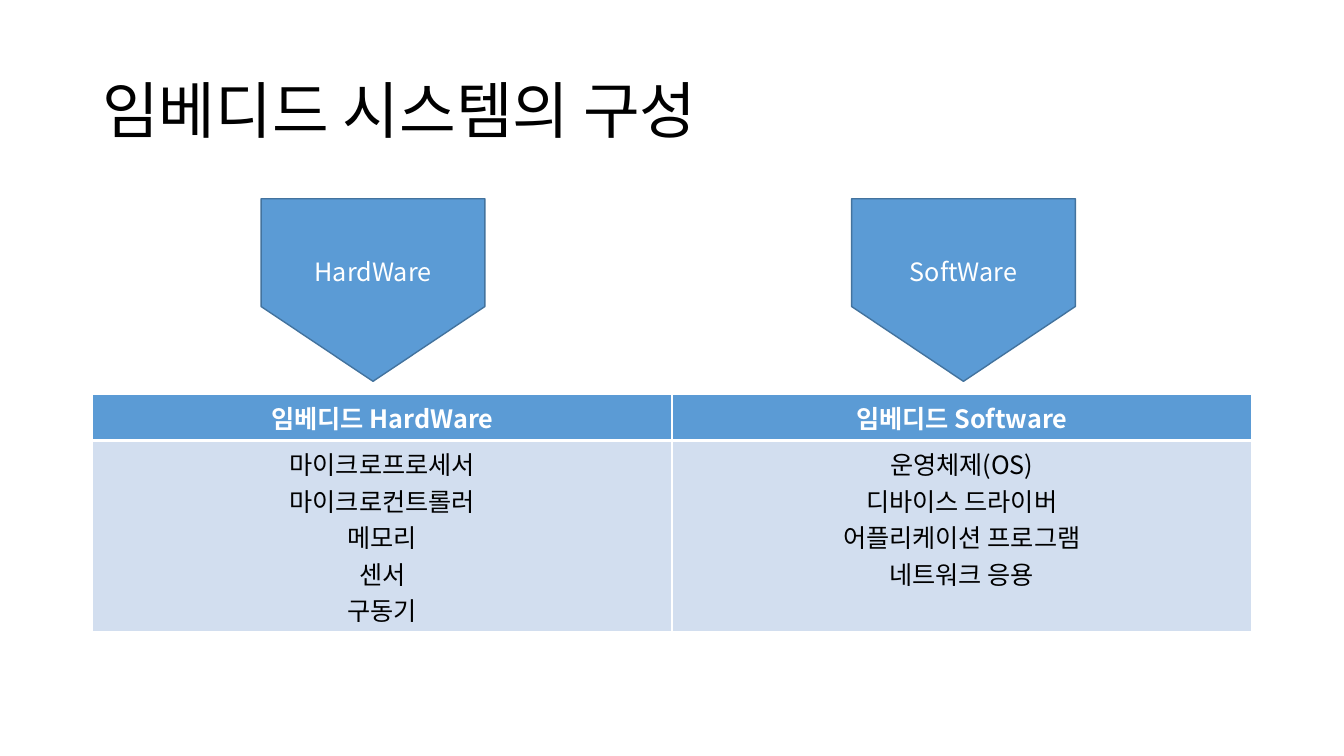
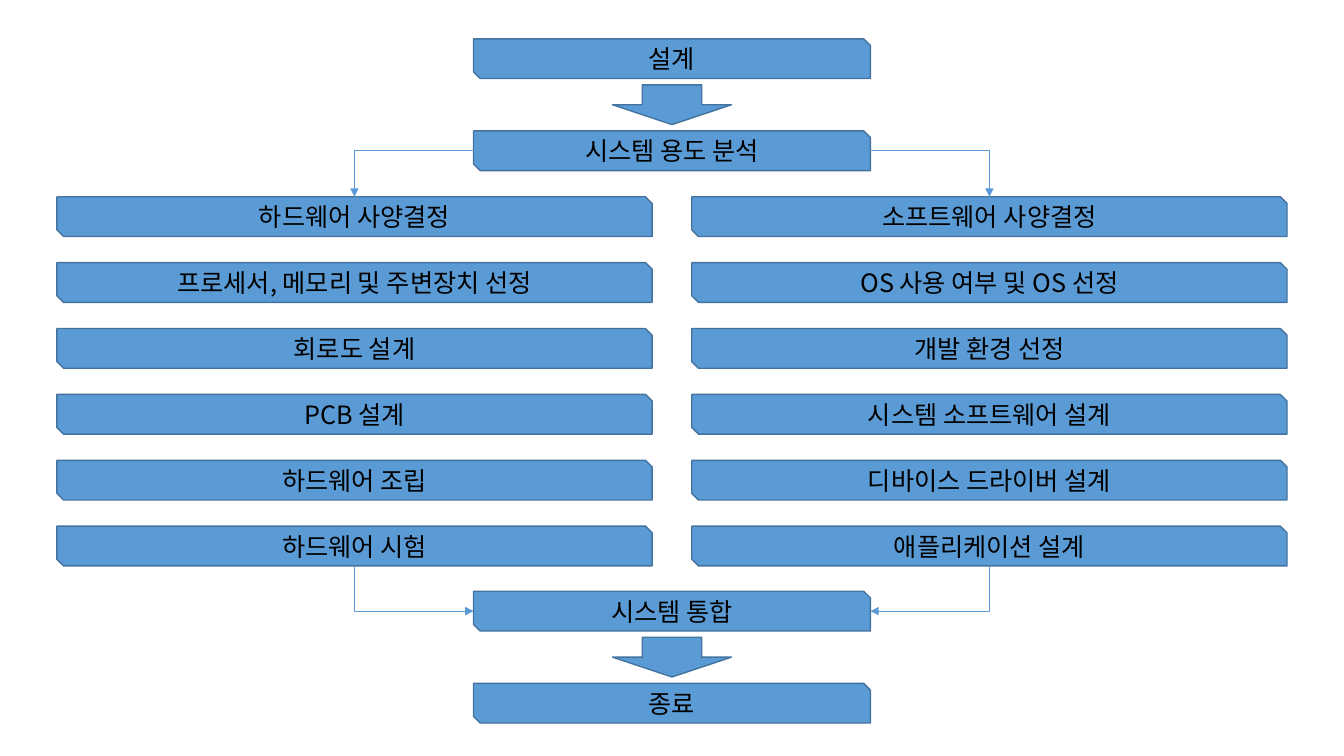
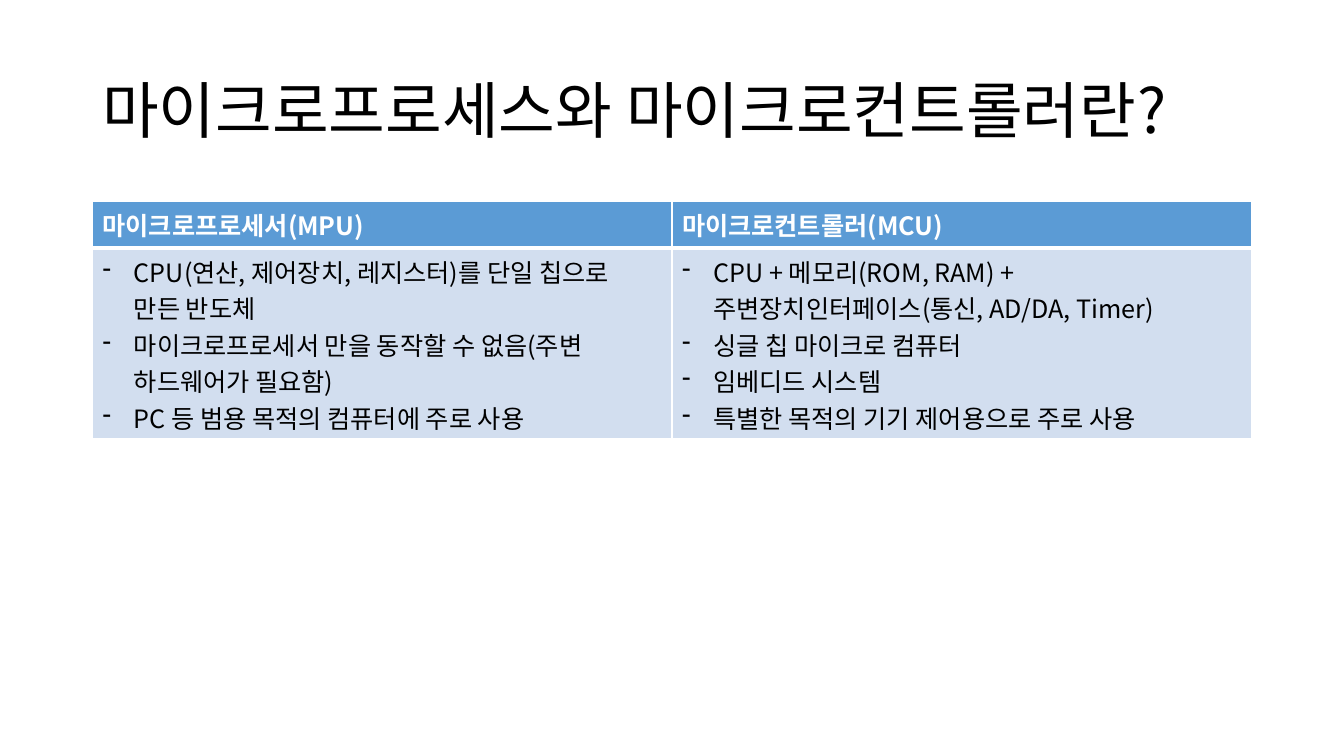
"""Build three slides about the structure and design flow of embedded systems."""
import lxml.etree
import pptx
import pptx.dml.color
import pptx.enum.shapes
import pptx.enum.text
import pptx.oxml.ns
import pptx.util

Cm = pptx.util.Cm
Pt = pptx.util.Pt
qn = pptx.oxml.ns.qn
SHAPES = pptx.enum.shapes.MSO_SHAPE
ALIGN = pptx.enum.text.PP_ALIGN
MIDDLE = pptx.enum.text.MSO_ANCHOR.MIDDLE

FONT = "Noto Sans CJK KR"
COLORS = {
    "blue": "5B9BD5",
    "outline": "43739E",
    "pale": "D2DEEF",
    "black": "000000",
    "white": "FFFFFF",
}
SLIDE_W, SLIDE_H = 33.87, 19.05
MARGIN, CONTENT_W = 2.33, 29.21
HEADER_H, BODY_H = 1.17, 4.81
STEP_H, ARROW_W = 1, 3
MAIN_W, BRANCH_W, BRANCH_GAP = 10, 15, 1
MAIN_PITCH, BRANCH_PITCH = 2.32, 1.66
START_TOP, BRANCH_TOP, MERGE_TOP = 0.98, 4.96, 14.9

HARDWARE_STEPS = [
    "하드웨어 사양결정",
    "프로세서, 메모리 및 주변장치 선정",
    "회로도 설계",
    "PCB 설계",
    "하드웨어 조립",
    "하드웨어 시험",
]
SOFTWARE_STEPS = [
    "소프트웨어 사양결정",
    "OS 사용 여부 및 OS 선정",
    "개발 환경 선정",
    "시스템 소프트웨어 설계",
    "디바이스 드라이버 설계",
    "애플리케이션 설계",
]
COMPONENTS = {
    "임베디드 HardWare": ["마이크로프로세서", "마이크로컨트롤러", "메모리", "센서", "구동기"],
    "임베디드 Software": [
        "운영체제(OS)", "디바이스 드라이버", "어플리케이션 프로그램", "네트워크 응용",
    ],
}
PROCESSORS = {
    "마이크로프로세서(MPU)": [
        "CPU(연산, 제어장치, 레지스터)를 단일 칩으로 만든 반도체",
        "마이크로프로세서 만을 동작할 수 없음(주변 하드웨어가 필요함)",
        "PC 등 범용 목적의 컴퓨터에 주로 사용",
    ],
    "마이크로컨트롤러(MCU)": [
        "CPU + 메모리(ROM, RAM) + 주변장치인터페이스(통신, AD/DA, Timer)",
        "싱글 칩 마이크로 컴퓨터",
        "임베디드 시스템",
        "특별한 목적의 기기 제어용으로 주로 사용",
    ],
}


def rgb(name):
    return pptx.dml.color.RGBColor.from_string(COLORS[name])


def write(frame, text, color, size=18, bold=False, align=ALIGN.LEFT):
    frame.text = text
    for paragraph in frame.paragraphs:
        paragraph.alignment = align
        for run in paragraph.runs:
            run.font.name = FONT
            run.font.size = Pt(size)
            run.font.bold = bold
            run.font.color.rgb = rgb(color)
            east_asian = lxml.etree.SubElement(run.font._element, qn("a:ea"))
            east_asian.set("typeface", FONT)


def add_title(slide, text):
    title = slide.shapes.add_textbox(Cm(MARGIN), Cm(1.01), Cm(CONTENT_W), Cm(3.68))
    title.text_frame.word_wrap = True
    title.text_frame.vertical_anchor = MIDDLE
    write(title.text_frame, text, "black", size=44)
    title.text_frame.paragraphs[0].line_spacing = 0.9


def add_block(slide, preset, left, top, width, height, text="", color="black"):
    block = slide.shapes.add_shape(preset, Cm(left), Cm(top), Cm(width), Cm(height))
    block.shadow.inherit = False
    block.fill.solid()
    block.fill.fore_color.rgb = rgb("blue")
    block.line.color.rgb = rgb("outline")
    block.line.width = Pt(1)
    if text:
        block.text_frame.vertical_anchor = MIDDLE
        write(block.text_frame, text, color, align=ALIGN.CENTER)
    return block


def add_pointer(slide, center, text):
    length, breadth = 4.6, 5.64
    pointer = add_block(slide, SHAPES.PENTAGON, center - length / 2, 4.49,
                        length, breadth, text, "white")
    pointer.rotation = 90
    pointer.adjustments[0] = 0.41
    pointer.text_frame._txBody.bodyPr.set("vert", "vert270")


def dash_bullets(frame):
    for paragraph in frame.paragraphs:
        properties = paragraph._p.get_or_add_pPr()
        properties.set("marL", str(Cm(0.79)))
        properties.set("indent", str(Cm(-0.79)))
        lxml.etree.SubElement(properties, qn("a:buFontTx"))
        lxml.etree.SubElement(properties, qn("a:buChar")).set("char", "-")


def style_cell(cell, fill, top, bottom):
    properties = cell._tc.get_or_add_tcPr()
    for side, width in (("L", 1), ("R", 1), ("T", top), ("B", bottom)):
        border = lxml.etree.SubElement(properties, qn("a:ln" + side))
        border.set("w", str(Pt(width)))
        paint = lxml.etree.SubElement(border, qn("a:solidFill"))
        lxml.etree.SubElement(paint, qn("a:srgbClr")).set("val", COLORS["white"])
    cell.fill.solid()
    cell.fill.fore_color.rgb = rgb(fill)


def add_comparison(slide, top, columns, align=ALIGN.LEFT, bulleted=False):
    table = slide.shapes.add_table(2, len(columns), Cm(MARGIN), Cm(top), Cm(CONTENT_W),
                                   Cm(HEADER_H + BODY_H)).table
    table.horz_banding = False
    table.rows[0].height, table.rows[1].height = Cm(HEADER_H), Cm(BODY_H)
    for index, (heading, items) in enumerate(columns.items()):
        header, body = table.cell(0, index), table.cell(1, index)
        style_cell(header, "blue", 1, 3)
        style_cell(body, "pale", 3, 1)
        write(header.text_frame, heading, "white", bold=True, align=align)
        write(body.text_frame, "\n".join(items), "black", align=align)
        if bulleted:
            body.margin_right = Cm(0.6)
            dash_bullets(body.text_frame)


def add_bent_arrow(slide, start, end, down_first=False):
    (x1, y1), (x2, y2) = start, end
    turn = 0
    if down_first:
        middle_x, middle_y = (x1 + x2) / 2, (y1 + y2) / 2
        half_w, half_h = abs(y2 - y1) / 2, abs(x2 - x1) / 2
        side = 1 if x2 > x1 else -1
        turn = 270 if x2 > x1 else 90
        x1, x2 = middle_x + side * half_w, middle_x - side * half_w
        y1, y2 = middle_y - half_h, middle_y + half_h
    arrow = slide.shapes.add_connector(pptx.enum.shapes.MSO_CONNECTOR.ELBOW,
                                       Cm(x1), Cm(y1), Cm(x2), Cm(y2))
    arrow.line.color.rgb = rgb("blue")
    arrow.line.width = Pt(0.5)
    properties = arrow._element.spPr
    properties.find(qn("a:prstGeom")).set("prst", "bentConnector2")
    properties.find(qn("a:xfrm")).set("rot", str(turn * 60000))
    lxml.etree.SubElement(properties.find(qn("a:ln")), qn("a:tailEnd")).set("type", "triangle")
    lxml.etree.SubElement(properties, qn("a:effectLst"))


def add_step(slide, center, top, width, text):
    add_block(slide, SHAPES.SNIP_2_DIAG_RECTANGLE, center - width / 2, top,
              width, STEP_H, text)


def add_main_pair(slide, top, first, second):
    center = SLIDE_W / 2
    add_step(slide, center, top, MAIN_W, first)
    add_step(slide, center, top + MAIN_PITCH, MAIN_W, second)
    add_block(slide, SHAPES.DOWN_ARROW, center - ARROW_W / 2, top + MAIN_PITCH / 2,
              ARROW_W, STEP_H)


def add_branch(slide, side, steps):
    center = SLIDE_W / 2 + side * (BRANCH_W + BRANCH_GAP) / 2
    main_edge = SLIDE_W / 2 + side * MAIN_W / 2
    for index, step in enumerate(steps):
        add_step(slide, center, BRANCH_TOP + index * BRANCH_PITCH, BRANCH_W, step)
    bottom = BRANCH_TOP + (len(steps) - 1) * BRANCH_PITCH + STEP_H
    analysis_y = START_TOP + MAIN_PITCH + STEP_H / 2
    add_bent_arrow(slide, (main_edge, analysis_y), (center, BRANCH_TOP))
    add_bent_arrow(slide, (center, bottom), (main_edge, MERGE_TOP + STEP_H / 2), True)


def main():
    deck = pptx.Presentation()
    deck.slide_width, deck.slide_height = Cm(SLIDE_W), Cm(SLIDE_H)
    blank = deck.slide_layouts[6]

    structure = deck.slides.add_slide(blank)
    add_title(structure, "임베디드 시스템의 구성")
    add_comparison(structure, 9.93, COMPONENTS, align=ALIGN.CENTER)
    add_pointer(structure, 9.4, "HardWare")
    add_pointer(structure, 24.28, "SoftWare")

    design_flow = deck.slides.add_slide(blank)
    add_main_pair(design_flow, START_TOP, "설계", "시스템 용도 분석")
    add_main_pair(design_flow, MERGE_TOP, "시스템 통합", "종료")
    add_branch(design_flow, -1, HARDWARE_STEPS)
    add_branch(design_flow, 1, SOFTWARE_STEPS)

    processors = deck.slides.add_slide(blank)
    add_title(processors, "마이크로프로세스와 마이크로컨트롤러란?")
    add_comparison(processors, 5.08, PROCESSORS, bulleted=True)

    deck.save("out.pptx")


if __name__ == "__main__":
    main()
